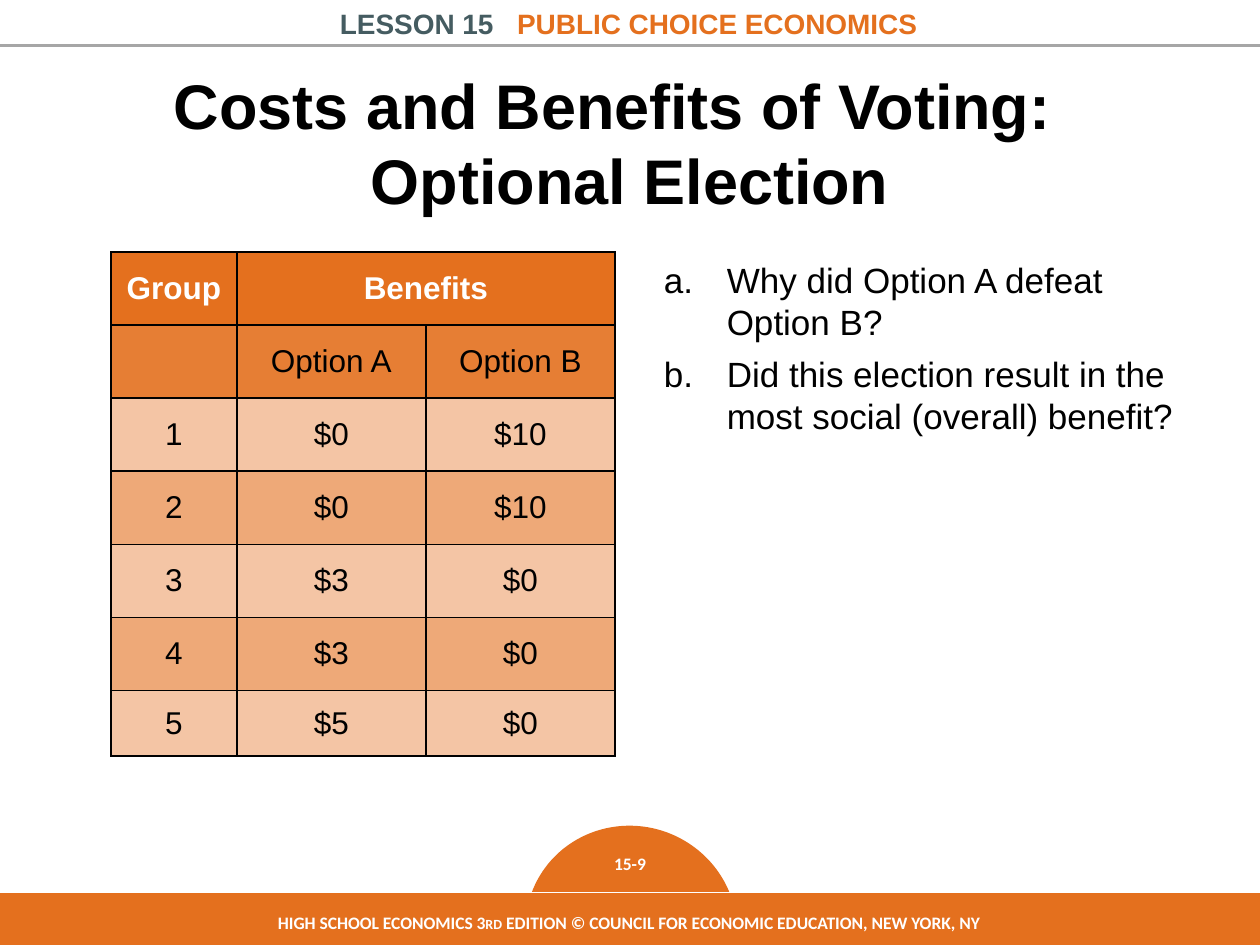
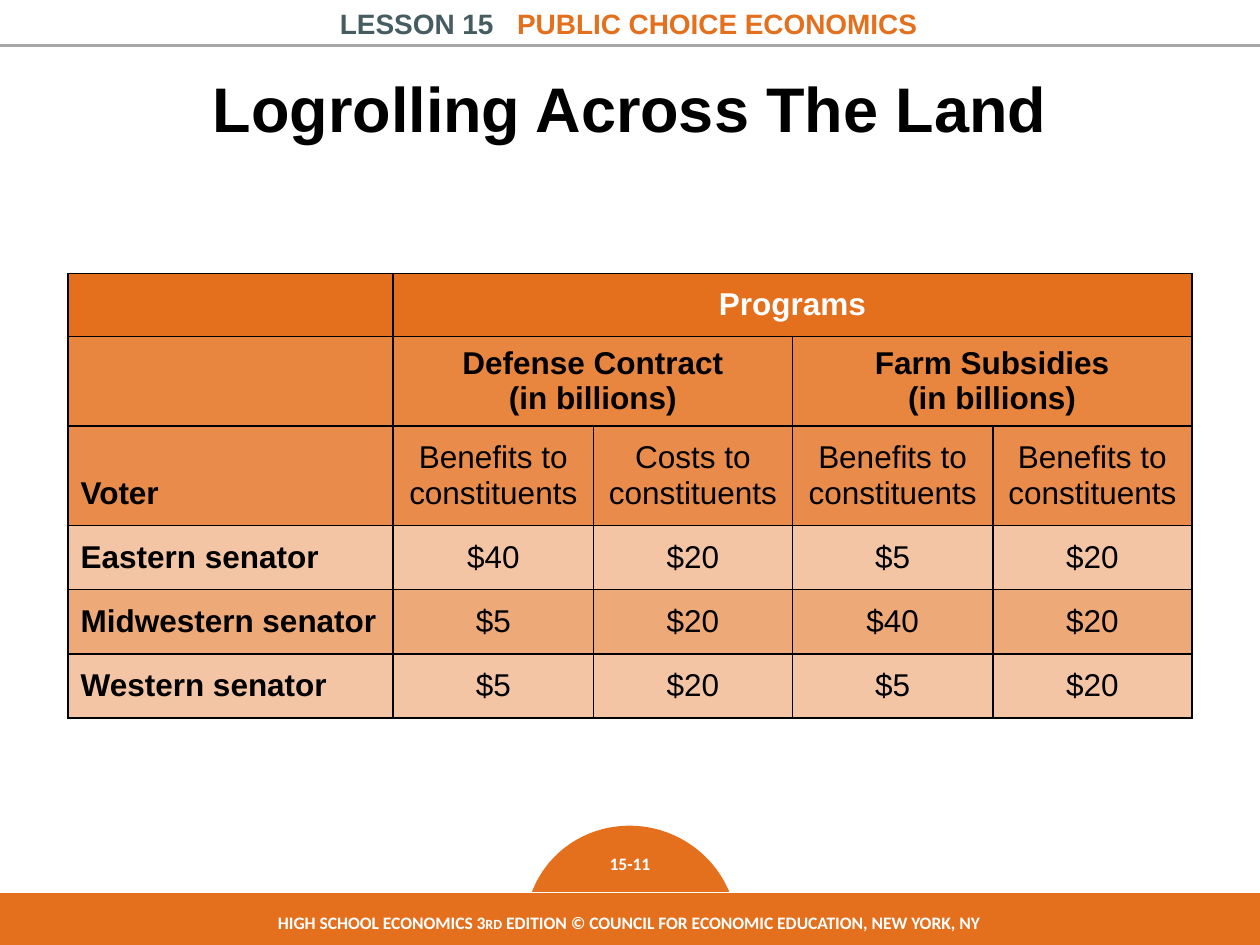
import dataclasses
import typing

import pptx
import pptx.dml.color
import pptx.enum.shapes
import pptx.enum.text
import pptx.oxml
import pptx.oxml.ns
import pptx.util

PX = 9144  # EMU in one px, 100 px to the inch
ALIGN = pptx.enum.text.PP_ALIGN
ANCHOR = pptx.enum.text.MSO_ANCHOR
SHAPE = pptx.enum.shapes.MSO_SHAPE
Box = tuple[int, int, int, int]


@dataclasses.dataclass(frozen=True)
class Theme:
    orange: str = "E4701E"
    slate: str = "455C61"
    rule: str = "A6A6A6"
    black: str = "000000"
    white: str = "FFFFFF"
    font: str = "Arial"
    footer_font: str = "Calibri"
    title_size: int = 36
    question_size: int = 20
    cell_size: int = 18
    header_size: int = 16
    footer_size: int = 10
    ordinal_size: int = 8


@dataclasses.dataclass(frozen=True)
class Row:
    """A table row; None in cells continues the cell to its left."""
    height: int
    opacity: int
    cells: tuple[str | None, ...]
    bold: bool = False
    color: str = Theme.black


@dataclasses.dataclass(frozen=True)
class TableSpec:
    left: int
    top: int
    widths: tuple[int, ...]
    rows: tuple[Row, ...]
    label_column: bool = False


@dataclasses.dataclass(frozen=True)
class SlideSpec:
    number: str
    title: tuple[str, ...]
    title_box: Box
    table: TableSpec
    questions: tuple[str, ...] = ()


THEME = Theme()
QUESTION_BOX = (517, 200, 450, 153)

VOTING = SlideSpec(
    "15-9",
    ("Costs and Benefits of Voting:", "Optional Election"),
    (50, 50, 900, 125),
    TableSpec(88, 200, (100, 150, 150), (
        Row(58, 100, ("Group", "Benefits", None), True, THEME.white),
        Row(58, 90, ("", "Option A", "Option B")),
        Row(58, 40, ("1", "$0", "$10")),
        Row(58, 60, ("2", "$0", "$10")),
        Row(58, 40, ("3", "$3", "$0")),
        Row(58, 60, ("4", "$3", "$0")),
        Row(52, 40, ("5", "$5", "$0")),
    )),
    ("Why did Option A defeat Option B?",
     "Did this election result in the most social (overall) benefit?"),
)

BENEFITS = "Benefits to constituents"
COSTS = "Costs to constituents"
LOGROLLING = SlideSpec(
    "15-11",
    ("Logrolling Across The Land",),
    (50, 42, 900, 87),
    TableSpec(54, 217, (258, 159, 158, 159, 158), (
        Row(50, 100, ("", "Programs", None, None, None), True, THEME.white),
        Row(71, 85, ("", "Defense Contract\n(in billions)", None,
                     "Farm Subsidies\n(in billions)", None), True),
        Row(79, 80, ("Voter", BENEFITS, COSTS, BENEFITS, BENEFITS)),
        Row(51, 40, ("Eastern senator", "$40", "$20", "$5", "$20")),
        Row(51, 60, ("Midwestern senator", "$5", "$20", "$40", "$20")),
        Row(51, 40, ("Western senator", "$5", "$20", "$5", "$20")),
    ), label_column=True),
)


def emu(*lengths: int) -> list[int]:
    return [length * PX for length in lengths]


def rgb(color: str) -> pptx.dml.color.RGBColor:
    return pptx.dml.color.RGBColor.from_string(color)


def add_text(p: typing.Any, text: str, *, size: int, color: str = THEME.black,
             bold: bool = False, font: str = THEME.font, spacing: int = 0) -> None:
    """Add a run; spacing is extra space after each letter, in points."""
    r = p.add_run()
    r.text = text
    r.font.size = pptx.util.Pt(size)
    r.font.name = font
    r.font.bold = bold
    r.font.color.rgb = rgb(color)
    if spacing:
        r._r.get_or_add_rPr().set("spc", str(spacing * 100))


def add_box(slide: typing.Any, box: Box, align: ALIGN = ALIGN.CENTER) -> typing.Any:
    tf = slide.shapes.add_textbox(*emu(*box)).text_frame
    tf.word_wrap = True
    tf.paragraphs[0].alignment = align
    return tf


def add_band_shape(slide: typing.Any, kind: SHAPE, box: Box,
                   line: str, weight: float) -> typing.Any:
    sp = slide.shapes.add_shape(kind, *emu(*box))
    sp.shadow.inherit = False
    sp.fill.solid()
    sp.fill.fore_color.rgb = rgb(THEME.orange)
    sp.line.color.rgb = rgb(line)
    sp.line.width = pptx.util.Pt(weight)
    return sp


def add_header(slide: typing.Any) -> None:
    rule = slide.shapes.add_connector(
        pptx.enum.shapes.MSO_CONNECTOR.STRAIGHT, *emu(0, 36, 1000, 36))
    rule.line.color.rgb = rgb(THEME.rule)
    rule.line.width = pptx.util.Pt(2)
    rule._element.spPr.append(pptx.oxml.parse_xml(
        f"<a:effectLst {pptx.oxml.ns.nsdecls('a')}/>"))

    p = add_box(slide, (95, 0, 808, 37)).paragraphs[0]
    size = THEME.header_size
    add_text(p, "LESSON 15", size=size, color=THEME.slate, bold=True)
    add_text(p, " ", size=size, spacing=9)
    add_text(p, "PUBLIC CHOICE ECONOMICS", size=size, color=THEME.orange, bold=True)


def add_footer(slide: typing.Any, number: str) -> None:
    dome = add_band_shape(slide, SHAPE.CHORD, (420, 655, 162, 166), THEME.orange, 2)
    dome.rotation = 112.5
    dome.adjustments[0] = 39.96
    dome.adjustments[1] = 148.42

    style = dict(color=THEME.white, bold=True, font=THEME.footer_font)
    p = add_box(slide, (450, 672, 100, 27)).paragraphs[0]
    add_text(p, number, size=THEME.footer_size, **style)

    add_band_shape(slide, SHAPE.RECTANGLE, (-4, 708, 1006, 42), THEME.white, 0.25)
    p = add_box(slide, (128, 719, 742, 27)).paragraphs[0]
    for text, size in (
        ("HIGH SCHOOL ECONOMICS 3", THEME.footer_size),
        ("RD", THEME.ordinal_size),
        (" EDITION © COUNCIL FOR ECONOMIC EDUCATION, NEW YORK, NY", THEME.footer_size),
    ):
        add_text(p, text, size=size, **style)


def set_title(slide: typing.Any, lines: tuple[str, ...], box: Box) -> None:
    title = slide.shapes.title
    title.left, title.top, title.width, title.height = emu(*box)
    tf = title.text_frame
    tf.auto_size = pptx.enum.text.MSO_AUTO_SIZE.NONE
    tf.vertical_anchor = ANCHOR.MIDDLE
    p = tf.paragraphs[0]
    p.alignment = ALIGN.CENTER
    for i, line in enumerate(lines):
        if i:
            add_text(p, " ", size=THEME.title_size, bold=True, spacing=10)
            p.add_line_break()
        add_text(p, line, size=THEME.title_size, bold=True)


def style_cell(cell: typing.Any, opacity: int) -> None:
    """Give the cell black borders and a see-through orange fill."""
    tc_pr = cell._tc.get_or_add_tcPr()
    for side in "LRTB":
        tc_pr.append(pptx.oxml.parse_xml(
            f'<a:ln{side} {pptx.oxml.ns.nsdecls("a")} w="12700"><a:solidFill>'
            f'<a:srgbClr val="{THEME.black}"/></a:solidFill></a:ln{side}>'))
    cell.fill.solid()
    cell.fill.fore_color.rgb = rgb(THEME.orange)
    if opacity < 100:
        color = tc_pr.find(pptx.oxml.ns.qn("a:solidFill"))[0]
        color.append(pptx.oxml.parse_xml(
            f'<a:alpha {pptx.oxml.ns.nsdecls("a")} val="{opacity * 1000}"/>'))


def fill_cell(cell: typing.Any, text: str, row: Row, is_label: bool) -> None:
    cell.vertical_anchor = ANCHOR.MIDDLE
    if text == "Voter":
        cell.vertical_anchor = ANCHOR.BOTTOM
        cell.margin_bottom = 11 * PX
    for i, line in enumerate(text.split("\n")):
        tf = cell.text_frame
        p = tf.add_paragraph() if i else tf.paragraphs[0]
        p.alignment = ALIGN.LEFT if is_label else ALIGN.CENTER
        add_text(p, line, size=THEME.cell_size, color=row.color,
                 bold=row.bold or is_label)


def add_table(slide: typing.Any, spec: TableSpec) -> None:
    width, height = sum(spec.widths), sum(row.height for row in spec.rows)
    table = slide.shapes.add_table(
        len(spec.rows), len(spec.widths),
        *emu(spec.left, spec.top, width, height)).table
    table.first_row = table.horz_banding = False
    for column, column_width in zip(table.columns, spec.widths):
        column.width = column_width * PX
    for r, row in enumerate(spec.rows):
        table.rows[r].height = row.height * PX
        for c, text in enumerate(row.cells):
            cell = table.cell(r, c)
            style_cell(cell, row.opacity)
            if text:
                fill_cell(cell, text, row, spec.label_column and c == 0)
            end = c
            while text is not None and row.cells[end + 1:end + 2] == (None,):
                end += 1
            if end > c:
                cell.merge(table.cell(r, end))


def add_questions(slide: typing.Any, questions: tuple[str, ...]) -> None:
    tf = add_box(slide, QUESTION_BOX, ALIGN.LEFT)
    for i, question in enumerate(questions):
        p = tf.add_paragraph() if i else tf.paragraphs[0]
        if i:
            p.space_before = pptx.util.Pt(6)
        p_pr = p._p.get_or_add_pPr()
        p_pr.set("marL", str(50 * PX))
        p_pr.set("indent", str(-50 * PX))
        p_pr.append(pptx.oxml.parse_xml(
            f'<a:buAutoNum {pptx.oxml.ns.nsdecls("a")} type="alphaLcPeriod"/>'))
        add_text(p, question, size=THEME.question_size)


def build_slide(prs: typing.Any, spec: SlideSpec) -> None:
    slide = prs.slides.add_slide(prs.slide_layouts[5])
    add_header(slide)
    add_footer(slide, spec.number)
    set_title(slide, spec.title, spec.title_box)
    add_table(slide, spec.table)
    if spec.questions:
        add_questions(slide, spec.questions)


def main() -> None:
    prs = pptx.Presentation()
    prs.slide_width, prs.slide_height = emu(1000, 750)
    for spec in (VOTING, LOGROLLING):
        build_slide(prs, spec)
    prs.save("out.pptx")


if __name__ == "__main__":
    main()
